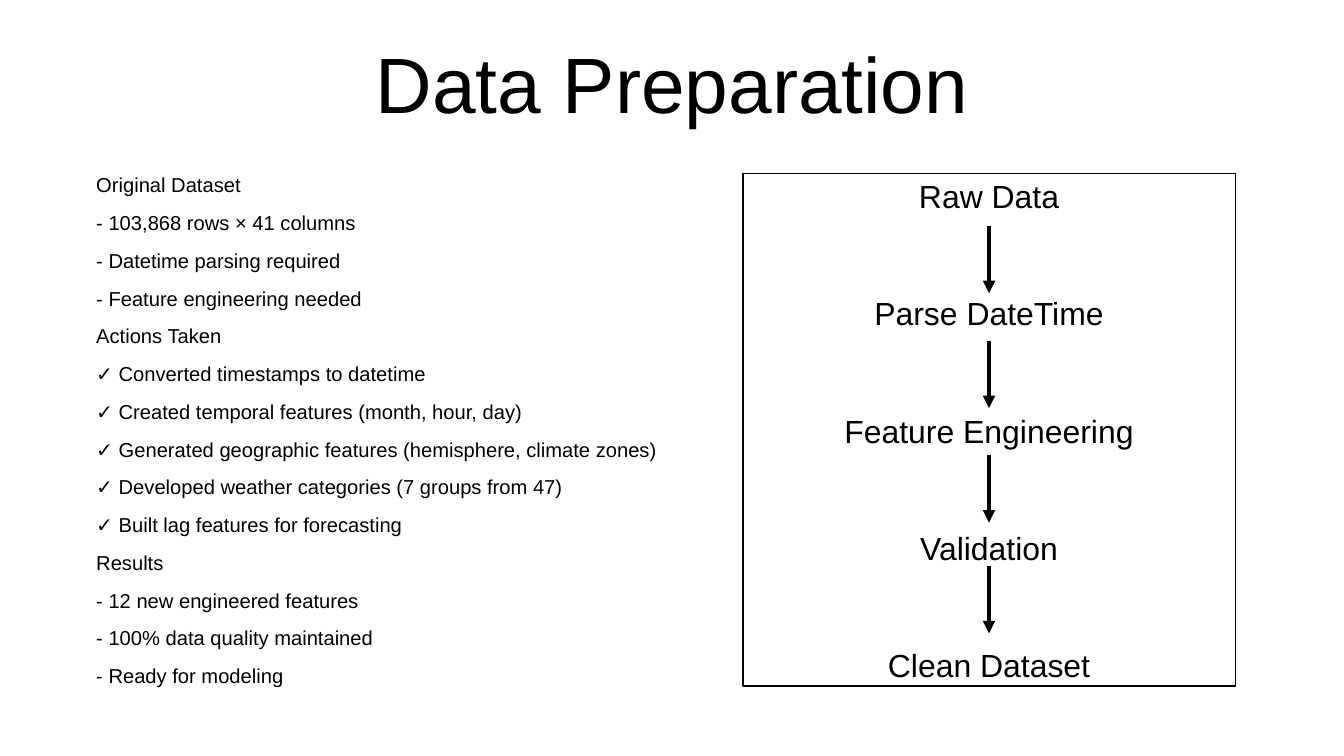
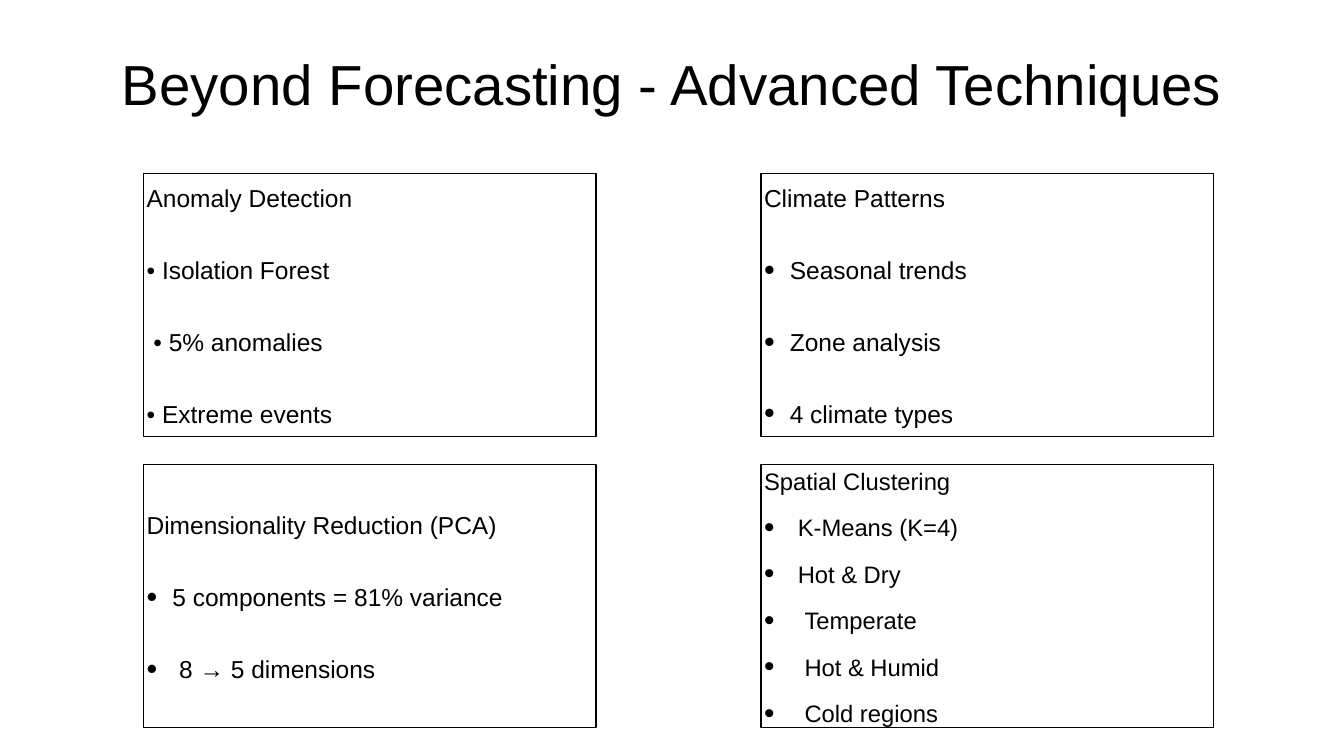
from dataclasses import dataclass

from lxml import etree
from pptx import Presentation
from pptx import util as u
from pptx.dml.color import RGBColor
from pptx.enum import shapes, text
from pptx.oxml import ns

# Content
PREPARATION_TITLE = "Data Preparation"
PREPARATION_NOTES = [
    "Original Dataset",
    "- 103,868 rows × 41 columns",
    "- Datetime parsing required",
    "- Feature engineering needed",
    "Actions Taken",
    "✓ Converted timestamps to datetime",
    "✓ Created temporal features (month, hour, day)",
    "✓ Generated geographic features (hemisphere, climate zones)",
    "✓ Developed weather categories (7 groups from 47)",
    "✓ Built lag features for forecasting",
    "Results",
    "- 12 new engineered features",
    "- 100% data quality maintained",
    "- Ready for modeling",
]
PIPELINE = ["Raw Data", "Parse DateTime", "Feature Engineering",
            "Validation", "Clean Dataset"]

TECHNIQUES_TITLE = "Beyond Forecasting - Advanced Techniques"
# Each card: heading, then items as (text, indent in cm), and its format
CARDS = [
    dict(heading="Anomaly Detection", bullet=None, size="card", gap=59,
         items=[("• Isolation Forest", 0), ("• 5% anomalies", 0.34),
                ("• Extreme events", 0)]),
    dict(heading="Climate Patterns", bullet="•", size="card", gap=59,
         items=[("Seasonal trends", 1.3), ("Zone analysis", 1.3),
                ("4 climate types", 1.3)]),
    dict(heading="Dimensionality Reduction (PCA)", bullet="•", size="card", gap=59,
         items=[("5 components = 81% variance", 1.3),
                ("8 → 5 dimensions", 1.64)]),
    dict(heading="Spatial Clustering", bullet="•", size="dense_card", gap=24,
         items=[("K-Means (K=4)", 1.7), ("Hot & Dry", 1.7), ("Temperate", 2.04),
                ("Hot & Humid", 2.04), ("Cold regions", 2.04)]),
]


# Theme
@dataclass(frozen=True)
class Theme:
    font: str = "Arial"
    ink: RGBColor = RGBColor(0, 0, 0)
    paper: RGBColor = RGBColor(255, 255, 255)
    title: float = 112
    long_title: float = 80.6
    notes: float = 28.8
    pipeline: float = 45.6
    card: float = 35
    dense_card: float = 34
    outline: float = 2
    arrow: float = 6
    leading: float = 1.04


THEME = Theme()

# Layout, in cm
PAGE_WIDTH, PAGE_HEIGHT = 67.74, 38.1
INSET = 0.15
TITLE_AREA = (4.7, 0.99, 58.34, 6.35)
NOTES_AREA = (4.7, 8.74, 29.34, 25.83)
PIPELINE_AREA = (37.44, 8.74, 24.82, 25.83)
ARROW_TOPS, ARROW_LENGTH = (11.38, 17.17, 22.94, 28.52), 3.4
PIPELINE_GAP = 110.7
CARD_LEFT, CARD_TOP = 7.24, 8.74
CARD_WIDTH, CARD_HEIGHT = 22.81, 13.26
CARD_STEP_X, CARD_STEP_Y = 31.12, 14.68


# Helpers
def place(shape, area):
    shape.left, shape.top, shape.width, shape.height = map(u.Cm, area)


def prepare_frame(shape):
    frame = shape.text_frame
    frame.word_wrap = True
    frame.auto_size = text.MSO_AUTO_SIZE.NONE
    frame.vertical_anchor = text.MSO_ANCHOR.MIDDLE
    frame.margin_left = frame.margin_right = u.Cm(INSET)
    frame.margin_top = frame.margin_bottom = u.Cm(INSET)


def write(shape, words, *, size, first=False, gap=0, indent=0, bullet=None,
          align=text.PP_ALIGN.LEFT, leading=THEME.leading):
    """Write one paragraph in a shape; the first one has no space before."""
    frame = shape.text_frame
    para = frame.paragraphs[0] if first else frame.add_paragraph()
    props = para._p.get_or_add_pPr()
    props.set("marL", str(u.Cm(indent)))
    props.set("indent", str(-u.Cm(indent) if bullet else 0))
    if bullet:
        etree.SubElement(props, ns.qn("a:buSzPct"), val="125000")
        etree.SubElement(props, ns.qn("a:buFont"), typeface=THEME.font)
        etree.SubElement(props, ns.qn("a:buChar"), char=bullet)
    else:
        etree.SubElement(props, ns.qn("a:buNone"))
    para.alignment = align
    para.line_spacing = leading
    para.space_before = u.Pt(0 if first else gap)
    span = para.add_run()
    span.text = words
    span.font.name = THEME.font
    span.font.size = u.Pt(size)
    span.font.color.rgb = THEME.ink


def outline(shape):
    shape.fill.background()
    shape.line.color.rgb = THEME.ink
    shape.line.width = u.Pt(THEME.outline)


def add_box(page, area):
    box = page.shapes.add_shape(shapes.MSO_SHAPE.RECTANGLE, *map(u.Cm, area))
    box.shadow.inherit = False
    outline(box)
    prepare_frame(box)
    return box


def add_arrow(page, x, top):
    arrow = page.shapes.add_connector(
        shapes.MSO_CONNECTOR.STRAIGHT,
        u.Cm(x), u.Cm(top), u.Cm(x), u.Cm(top + ARROW_LENGTH))
    arrow.line.color.rgb = THEME.ink
    arrow.line.width = u.Pt(THEME.arrow)
    etree.SubElement(arrow.line._get_or_add_ln(), ns.qn("a:tailEnd"), type="triangle")
    etree.SubElement(arrow._element.spPr, ns.qn("a:effectLst"))


def add_page(deck, title, title_size, body_area):
    """Add a page with its title and return it with its empty body placeholder."""
    page = deck.slides.add_slide(deck.slide_layouts[1])
    page.background.fill.solid()
    page.background.fill.fore_color.rgb = THEME.paper
    heading, body = page.shapes.title, page.placeholders[1]
    for shape, area in ((heading, TITLE_AREA), (body, body_area)):
        place(shape, area)
        prepare_frame(shape)
    write(heading, title, size=title_size, first=True,
          align=text.PP_ALIGN.CENTER, leading=1.0)
    return page, body


# Pages
def build_preparation(deck):
    page, notes = add_page(deck, PREPARATION_TITLE, THEME.title, NOTES_AREA)
    for number, line in enumerate(PREPARATION_NOTES):
        write(notes, line, size=THEME.notes, first=number == 0, gap=18)

    pipeline = add_box(page, PIPELINE_AREA)
    for number, stage in enumerate(PIPELINE):
        write(pipeline, stage, size=THEME.pipeline, first=number == 0,
              gap=PIPELINE_GAP, align=text.PP_ALIGN.CENTER)
    left, _, width, _ = PIPELINE_AREA
    for top in ARROW_TOPS:
        add_arrow(page, left + width / 2, top)


def build_techniques(deck):
    areas = [(CARD_LEFT + column * CARD_STEP_X, CARD_TOP + row * CARD_STEP_Y,
              CARD_WIDTH, CARD_HEIGHT)
             for row in range(2) for column in range(2)]
    page, body = add_page(deck, TECHNIQUES_TITLE, THEME.long_title, areas[0])
    outline(body)
    boxes = [body] + [add_box(page, area) for area in areas[1:]]
    for box, card in zip(boxes, CARDS):
        size = getattr(THEME, card["size"])
        write(box, card["heading"], size=size, first=True)
        for words, indent in card["items"]:
            write(box, words, size=size, gap=card["gap"], indent=indent,
                  bullet=card["bullet"])


def main():
    deck = Presentation()
    deck.slide_width, deck.slide_height = u.Cm(PAGE_WIDTH), u.Cm(PAGE_HEIGHT)
    build_preparation(deck)
    build_techniques(deck)
    deck.save("out.pptx")


if __name__ == "__main__":
    main()
